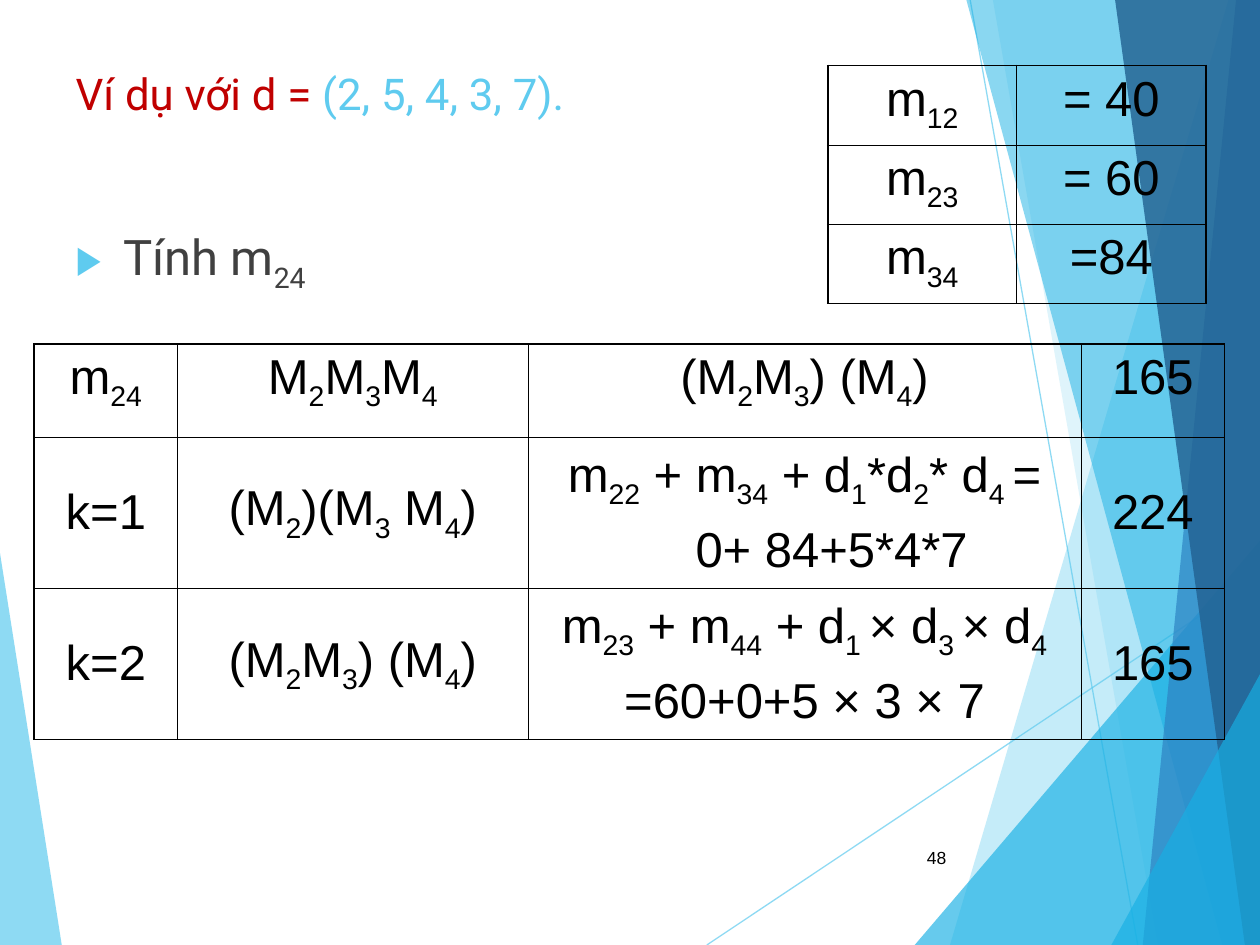
import pptx
import pptx.util
import pptx.dml.color
import pptx.enum.shapes
import pptx.enum.text
import pptx.oxml.ns
from lxml import etree

Inches, Pt = pptx.util.Inches, pptx.util.Pt
RGBColor = pptx.dml.color.RGBColor
ALIGN, ANCHOR = pptx.enum.text.PP_ALIGN, pptx.enum.text.MSO_ANCHOR
qn = pptx.oxml.ns.qn

SKY = RGBColor(0x5F, 0xCB, 0xEF)
CYAN = RGBColor(0x17, 0xB0, 0xE4)
BLUE = RGBColor(0x2E, 0x83, 0xC3)
NAVY = RGBColor(0x23, 0x62, 0x92)
RED = RGBColor(0xC0, 0x00, 0x00)
GRAY = RGBColor(0x40, 0x40, 0x40)
BLACK = RGBColor(0, 0, 0)

# In texts, every second part between bars is a subscript.
TITLE = [("Ví dụ với d = ", RED), ("(2, 5, 4, 3, 7).", SKY)]
BODY = "Tính m|24"
PAGE_NUMBER = "48"

STEPS = [
    ["m|24", "M|2|M|3|M|4", "(M|2|M|3|) (M|4|)", "165"],
    ["k=1", "(M|2|)(M|3| M|4|)",
     "m|22| + m|34| + d|1|*d|2|* d|4 |=\n0+ 84+5*4*7", "224"],
    ["k=2", "(M|2|M|3|) (M|4|)",
     "m|23| + m|44| + d|1 |× d|3 |× d|4\n=60+0+5 × 3 × 7", "165"],
]
KNOWN = [["m|12", "= 40"], ["m|23", "= 60"], ["m|34", "=84"]]

LEFT_FACET = ([(0, 4.39), (0.49, 7.5), (0, 7.5)], SKY, 70)
RAYS = [((5.61, 7.5), (10, 4.57)), ((7.7, 0), (9.03, 7.5))]
RIGHT_FACETS = [
    ([(9.75, 0), (7.54, 7.5), (10, 7.5), (10, 0)], SKY, 36),
    ([(7.88, 0), (9.19, 7.5), (10, 7.5), (10, 0)], SKY, 20),
    ([(7.26, 7.5), (10, 4.29), (10, 7.5)], CYAN, 66),
    ([(7.67, 0), (9.7, 7.5), (10, 7.5), (10, 0)], CYAN, 50),
    ([(9.81, 0), (9.07, 7.5), (10, 7.5), (10, 0)], BLUE, 70),
    ([(8.85, 0), (9.88, 7.5), (10, 7.5), (10, 0)], NAVY, 82),
    ([(8.82, 7.5), (10, 5.35), (10, 7.5)], CYAN, 66),
]


def set_opacity(sp, percent):
    color = next(sp.element.spPr.iter(qn("a:srgbClr")))
    etree.SubElement(color, qn("a:alpha"), val=str(percent * 1000))


def add_facet(s, points, color, opacity):
    corners = [(Inches(x), Inches(y)) for x, y in points]
    builder = s.shapes.build_freeform(*corners[0], scale=1.0)
    builder.add_line_segments(corners[1:], close=True)
    sp = builder.convert_to_shape()
    sp.shadow.inherit = False
    sp.fill.solid()
    sp.fill.fore_color.rgb = color
    sp.line.fill.background()
    set_opacity(sp, opacity)


def add_ray(s, start, end):
    line = s.shapes.add_connector(pptx.enum.shapes.MSO_CONNECTOR.STRAIGHT,
                                  *(Inches(v) for v in start + end))
    line.line.color.rgb = SKY
    line.line.width = Pt(0.75)
    set_opacity(line, 70)
    etree.SubElement(line.element.spPr, qn("a:effectLst"))


def add_run(p, text, size, font, color):
    r = p.add_run()
    r.text = text
    r.font.size, r.font.name = Pt(size), font
    r.font.color.rgb = color
    return r


def add_formula(p, text, size, font, color):
    """Add the bar-separated parts as runs, every second one a subscript."""
    for i, part in enumerate(text.split("|")):
        r = add_run(p, part, size, font, color)
        if i % 2:
            r.font._element.set("baseline", "-25000")


def set_borders(cell, widths):
    tcPr = cell._tc.get_or_add_tcPr()
    for i, (side, width) in enumerate(zip(("lnL", "lnR", "lnT", "lnB"), widths)):
        ln = etree.Element(qn(f"a:{side}"), w=str(Pt(width)))
        fill = etree.SubElement(ln, qn("a:solidFill"))
        etree.SubElement(fill, qn("a:srgbClr"), val=str(BLACK))
        tcPr.insert(i, ln)


def add_grid(s, rows, left, top, widths, heights, middle_from):
    """Add a ruled table; rows from middle_from on are centred vertically."""
    last_row, last_col = len(rows) - 1, len(widths) - 1
    table = s.shapes.add_table(
        len(rows), len(widths), Inches(left), Inches(top),
        Inches(sum(widths)), Inches(sum(heights))).table
    table.first_row = table.horz_banding = False
    for column, width in zip(table.columns, widths):
        column.width = Inches(width)
    for i, row in enumerate(rows):
        table.rows[i].height = Inches(heights[i])
        for j, text in enumerate(row):
            cell = table.cell(i, j)
            cell.fill.background()
            if i >= middle_from:
                cell.vertical_anchor = ANCHOR.MIDDLE
            outer = (j == 0, j == last_col, i == 0, i == last_row)
            set_borders(cell, [1.08 if edge else 0.45 for edge in outer])
            for n, line in enumerate(text.split("\n")):
                tf = cell.text_frame
                p = tf.add_paragraph() if n else tf.paragraphs[0]
                p.alignment = ALIGN.CENTER
                if n:
                    p.space_before = Pt(7)
                add_formula(p, line, 28, "Arial", BLACK)
    return table


def place(sp, left, top, width, height):
    sp.left, sp.top, sp.width, sp.height = map(Inches, (left, top, width, height))
    tf = sp.text_frame
    tf.word_wrap = True
    tf.auto_size = pptx.enum.text.MSO_AUTO_SIZE.NONE
    tf.vertical_anchor = ANCHOR.TOP
    p = tf.paragraphs[0]
    p.alignment = ALIGN.LEFT
    p.space_before = Pt(0)
    sp.element.getparent().append(sp.element)  # in front of the facets
    return tf, p


def add_bullet(p):
    pPr = p._p.get_or_add_pPr()
    pPr.set("marL", str(Inches(0.38)))
    pPr.set("indent", str(Inches(-0.38)))
    color = etree.SubElement(pPr, qn("a:buClr"))
    etree.SubElement(color, qn("a:srgbClr"), val=str(SKY))
    etree.SubElement(pPr, qn("a:buSzPct"), val="80000")
    etree.SubElement(pPr, qn("a:buFont"), typeface="Arial")
    etree.SubElement(pPr, qn("a:buChar"), char="▶")


def main():
    prs = pptx.Presentation()
    prs.slide_width, prs.slide_height = Inches(10), Inches(7.5)
    s = prs.slides.add_slide(prs.slide_layouts[1])

    add_facet(s, *LEFT_FACET)
    for ray in RAYS:
        add_ray(s, *ray)
    for facet in RIGHT_FACETS:
        add_facet(s, *facet)

    tf, p = place(s.shapes.title, 0.5, 0.3, 6.47, 0.53)
    tf.margin_top, tf.margin_bottom = Inches(0.23), 0
    for text, color in TITLE:
        add_run(p, text, 25, "Roboto", color)

    tf, p = place(s.placeholders[1], 0.5, 1.75, 4.42, 4.95)
    add_bullet(p)
    add_formula(p, BODY, 28, "Roboto", GRAY)

    steps = add_grid(s, STEPS, 0.27, 2.73, [1.14, 2.78, 4.39, 1.14],
                     [0.74, 1.2, 1.2], middle_from=1)
    sum_line = steps.cell(1, 2).text_frame.paragraphs[1]
    sum_line._p.get_or_add_pPr().set("marL", str(Inches(0.43)))
    add_grid(s, KNOWN, 6.57, 0.52, [1.5] * 2, [0.63] * 3, middle_from=3)

    number = s.shapes.add_textbox(0, 0, 0, 0)
    tf, p = place(number, 7.05, 6.61, 0.56, 0.4)
    tf.vertical_anchor = ANCHOR.MIDDLE
    p.alignment = ALIGN.RIGHT
    add_run(p, PAGE_NUMBER, 10, "Arial", BLACK)

    prs.save("out.pptx")


if __name__ == "__main__":
    main()
